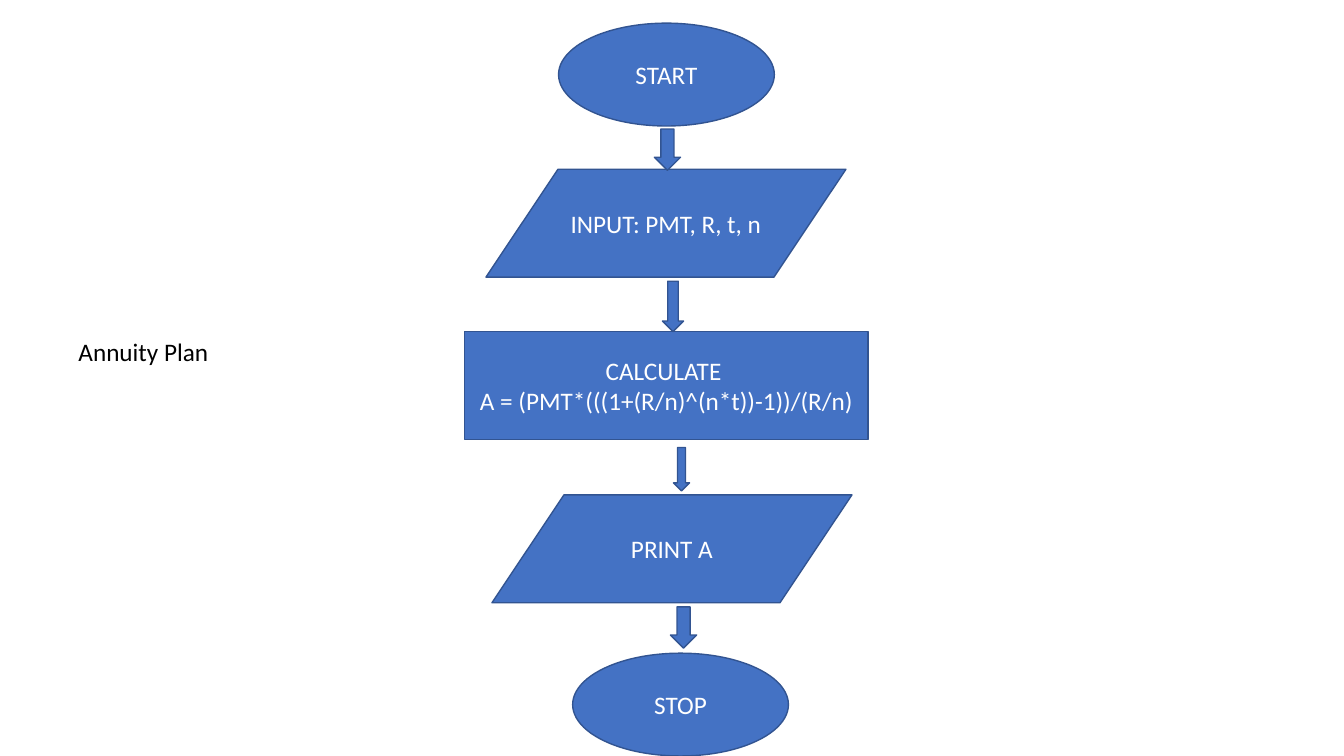
from pptx import Presentation
from pptx.dml.color import RGBColor
from pptx.enum.shapes import MSO_SHAPE as SHAPE
from pptx.enum.text import MSO_ANCHOR as ANCHOR, PP_ALIGN as ALIGN
from pptx.util import Inches, Pt

BLUE = RGBColor(0x44, 0x72, 0xC4)
DARK_BLUE = RGBColor(0x32, 0x54, 0x91)
WHITE = RGBColor(0xFF, 0xFF, 0xFF)
BLACK = RGBColor(0, 0, 0)

# Sizes of each kind of flowchart step
OVAL = (SHAPE.OVAL, 2.14, 1.02)
DATA = (SHAPE.FLOWCHART_DATA, 3.57, 1.07)
PROCESS = (SHAPE.RECTANGLE, 4, 1.07)

# Steps: kind, left and top within the chart, lines of text
STEPS = [
    (OVAL, 0.93, 0, ["START"]),
    (DATA, 0.21, 1.45, ["INPUT: PMT, R, t, n"]),
    (PROCESS, 0, 3.06, ["CALCULATE ", "A = (PMT*(((1+(R/n)^(n*t))-1))/(R/n)"]),
    (DATA, 0.27, 4.68, ["PRINT A"]),
    (OVAL, 1.07, 6.25, ["STOP"]),
]

# Arrows: left, top, width, height within the chart
ARROWS = [
    (1.88, 1.05, 0.26, 0.41),
    (1.96, 2.56, 0.21, 0.5),
    (2.07, 4.21, 0.16, 0.43),
    (2.04, 5.79, 0.26, 0.41),
]


def write(s, lines, color=BLACK, align=ALIGN.LEFT, anchor=ANCHOR.TOP, size=18):
    tf = s.text_frame
    tf.word_wrap = True
    tf.vertical_anchor = anchor
    for i, line in enumerate(lines):
        p = tf.paragraphs[0] if i == 0 else tf.add_paragraph()
        p.alignment = align
        r = p.add_run()
        r.text = line
        r.font.name = "Calibri"
        r.font.size = Pt(size)
        r.font.color.rgb = color


def add_block(slide, kind, left, top, width, height):
    s = slide.shapes.add_shape(
        kind, Inches(left), Inches(top), Inches(width), Inches(height))
    s.shadow.inherit = False
    s.fill.solid()
    s.fill.fore_color.rgb = BLUE
    s.line.color.rgb = DARK_BLUE
    s.line.width = Pt(1)
    return s


def add_flowchart(slide, left, top):
    # Steps
    for (kind, width, height), x, y, lines in STEPS:
        s = add_block(slide, kind, left + x, top + y, width, height)
        write(s, lines, color=WHITE, align=ALIGN.CENTER, anchor=ANCHOR.MIDDLE)
    # Arrows between the steps
    for x, y, width, height in ARROWS:
        add_block(slide, SHAPE.DOWN_ARROW, left + x, top + y, width, height)


def add_title(slide, left, top, width, height):
    s = slide.shapes.add_textbox(
        Inches(left), Inches(top), Inches(width), Inches(height))
    write(s, ["Annuity Plan"])


def main():
    prs = Presentation()
    prs.slide_width = Inches(13.33)
    prs.slide_height = Inches(7.5)
    slide = prs.slides.add_slide(prs.slide_layouts[6])
    add_flowchart(slide, 4.61, 0.23)
    add_title(slide, 0.68, 3.29, 9.32, 0.4)
    prs.save("out.pptx")


if __name__ == "__main__":
    main()
